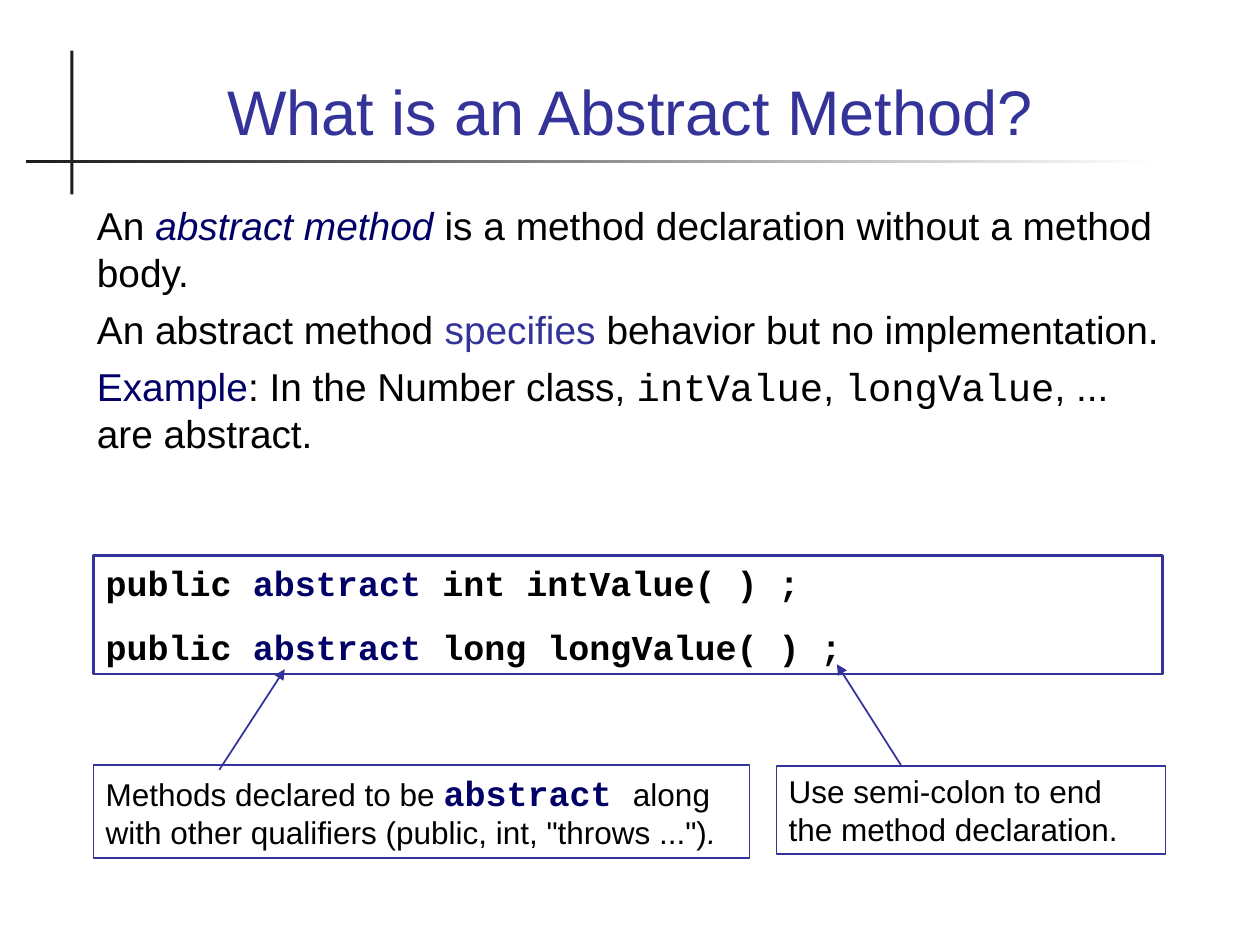
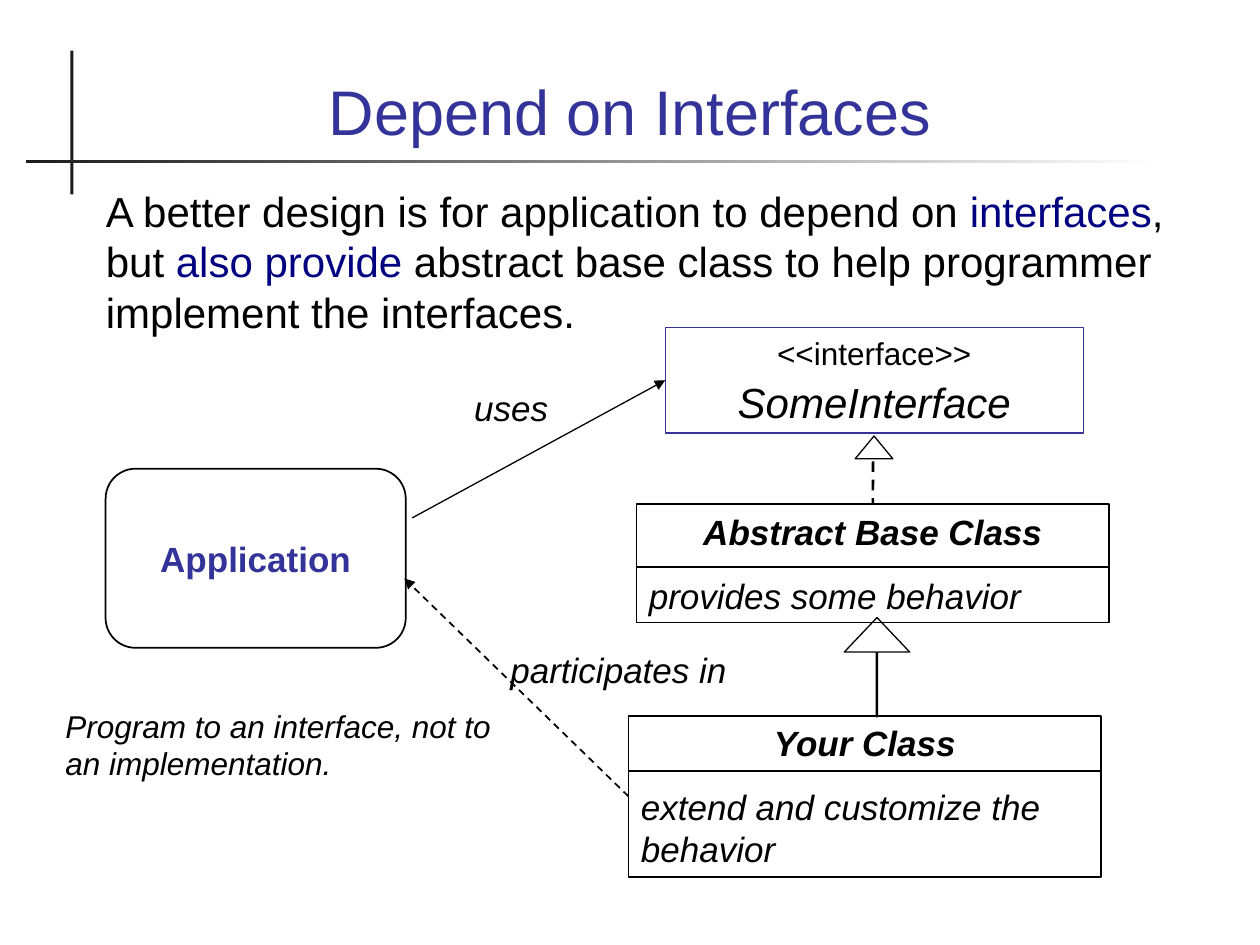
from lxml.etree import SubElement
from pptx import Presentation
from pptx.dml.color import RGBColor
from pptx.enum.dml import MSO_LINE_DASH_STYLE as Dash
from pptx.enum.shapes import MSO_CONNECTOR as Connector, MSO_SHAPE as Shape
from pptx.enum.text import MSO_ANCHOR as Anchor, MSO_AUTO_SIZE as AutoSize, PP_ALIGN as Align
from pptx.oxml.ns import qn
from pptx.util import Cm, Pt

INDIGO = "333399"
NAVY = "000066"
DARK_BLUE = "000080"
BLACK = "000000"
WHITE = "FFFFFF"
RULE = "1C1C1C"
SANS = "Arial"
MONO = "Courier New"


def rgb(value):
    return RGBColor.from_string(value)


def place(item, left, top, width, height):
    item.left, item.top = Cm(left), Cm(top)
    item.width, item.height = Cm(width), Cm(height)


def write(frame, *runs, size=20, color=BLACK, font=SANS, bold=False, italic=False,
          align=Align.LEFT, before=0, bullet=True):
    is_first = not frame.paragraphs[0].runs
    paragraph = frame.paragraphs[0] if is_first else frame.add_paragraph()
    if not bullet:
        properties = paragraph._p.get_or_add_pPr()
        properties.set("marL", "0")
        properties.set("indent", "0")
        SubElement(properties, qn("a:buNone"))
    paragraph.alignment = align
    paragraph.space_before = Pt(0 if is_first else before)
    base = dict(size=size, color=color, font=font, bold=bold, italic=italic)
    for words in runs:
        text, changes = (words, {}) if isinstance(words, str) else words
        look = {**base, **changes}
        run = paragraph.add_run()
        run.text = text
        run.font.size = Pt(look["size"])
        run.font.name = look["font"]
        run.font.bold = look["bold"]
        run.font.italic = look["italic"]
        run.font.color.rgb = rgb(look["color"])


def add_box(slide, kind, left, top, width, height, line=BLACK, weight=1.0, fill=None,
            anchor=Anchor.TOP):
    box = slide.shapes.add_shape(kind, Cm(left), Cm(top), Cm(width), Cm(height))
    box.shadow.inherit = False
    if fill:
        box.fill.solid()
        box.fill.fore_color.rgb = rgb(fill)
    else:
        box.fill.background()
    if line:
        box.line.color.rgb = rgb(line)
        box.line.width = Pt(weight)
    else:
        box.line.fill.background()
    box.text_frame.word_wrap = True
    box.text_frame.vertical_anchor = anchor
    return box


def add_label(slide, text, left, top, width, height, **look):
    label = slide.shapes.add_textbox(Cm(left), Cm(top), Cm(width), Cm(height))
    label.text_frame.word_wrap = True
    write(label.text_frame, text, italic=True, **look)


def add_line(slide, start, end, color=BLACK, weight=1.0, arrow=False, dashed=False):
    line = slide.shapes.add_connector(Connector.STRAIGHT, *map(Cm, start + end))
    line.line.color.rgb = rgb(color)
    line.line.width = Pt(weight)
    if dashed:
        line.line.dash_style = Dash.DASH
    if arrow:
        SubElement(line.line._get_or_add_ln(), qn("a:tailEnd"), type="triangle")
    SubElement(line._element.spPr, qn("a:effectLst"))
    return line


def add_class(slide, name, behavior, left, top, width, height, divider):
    box = add_box(slide, Shape.RECTANGLE, left, top, width, height)
    write(box.text_frame, name, bold=True, italic=True, align=Align.CENTER)
    write(box.text_frame, behavior, italic=True, before=12.5)
    add_line(slide, (left, divider), (left + width, divider))
    return box


def style_layout(layout, slide):
    upright = add_box(slide, Shape.RECTANGLE, 1.42, 1.02, 0.06, 2.9, line=None, fill=RULE)
    underline = add_box(slide, Shape.RECTANGLE, 0.53, 3.23, 22.83, 0.06, line=None)
    underline.fill.gradient()
    underline.fill.gradient_angle = 0
    for stop, color in zip(underline.fill.gradient_stops, (RULE, WHITE)):
        stop.color.rgb = rgb(color)
    for rule in (upright, underline):
        layout.shapes.element.append(rule.element)
    title, body = layout.placeholders[0], layout.placeholders[1]
    place(title, 1.7, 0.71, 22, 2.41)
    title.text_frame.vertical_anchor = Anchor.BOTTOM
    place(body, 1.7, 3.94, 22, 6.38)


def start_slide(slide, title):
    write(slide.shapes.title.text_frame, title, size=36, color=INDIGO, align=Align.CENTER)
    body = slide.placeholders[1]
    body.text_frame.auto_size = AutoSize.NONE
    return body


def fill_abstract_method(slide):
    navy = {"color": NAVY}
    mono = {"font": MONO}
    body = start_slide(slide, "What is an Abstract Method?").text_frame
    points = [
        ["An ", ("abstract method", {"color": NAVY, "italic": True}),
         " is a method declaration without a method body."],
        ["An abstract method ", ("specifies", {"color": INDIGO}),
         " behavior but no implementation."],
        [("Example", navy), ": In the Number class, ", ("intValue", mono), ", ",
         ("longValue", mono), ", ... are abstract."],
    ]
    for point in points:
        write(body, *point, size=22.2, before=6, bullet=False)

    code = add_box(slide, Shape.RECTANGLE, 1.88, 11.2, 21.56, 2.39, INDIGO, 1.5)
    for signature in (" int intValue( ) ;", " long longValue( ) ;"):
        write(code.text_frame, "public ", ("abstract", navy), signature,
              font=MONO, bold=True, before=12.5)

    qualifiers = add_box(slide, Shape.RECTANGLE, 1.88, 15.42, 13.23, 1.88, INDIGO, 0.75)
    write(qualifiers.text_frame, "Methods declared to be ",
          ("abstract ", {"size": 20, "font": MONO, "color": NAVY, "bold": True}),
          'along with other qualifiers (public, int, "throws ...")',
          (".", {"italic": True}), size=18)
    semicolon = add_box(slide, Shape.RECTANGLE, 15.65, 15.44, 7.85, 1.78, INDIGO, 0.75)
    write(semicolon.text_frame, "Use semi-colon to end the method declaration.", size=18)

    add_line(slide, (4.42, 15.52), (5.74, 13.49), INDIGO, arrow=True)
    add_line(slide, (18.16, 15.42), (16.87, 13.39), INDIGO, arrow=True)


def fill_interfaces(slide):
    blue = {"color": DARK_BLUE}
    body = start_slide(slide, "Depend on Interfaces")
    place(body, 1.88, 3.61, 22, 5.03)
    write(body.text_frame, "A better design is for application to depend on ",
          ("interfaces", blue), ", but ", ("also provide", blue),
          " abstract base class to help programmer implement the interfaces.",
          size=24, bullet=False)

    base_class = add_class(slide, "Abstract Base Class", "provides some behavior",
                           12.83, 10.16, 9.53, 2.39, divider=11.43)
    your_class = add_class(slide, "Your Class", "extend and customize the behavior",
                           12.67, 14.43, 9.53, 3.25, divider=15.54)
    application = add_box(slide, Shape.ROUNDED_RECTANGLE, 2.13, 9.45, 6.05, 3.61,
                          anchor=Anchor.MIDDLE)
    write(application.text_frame, "Application", color=INDIGO, bold=True, align=Align.CENTER)
    interface = add_box(slide, Shape.RECTANGLE, 13.41, 6.6, 8.43, 2.13, INDIGO, 0.75)
    write(interface.text_frame, "<<interface>>", size=18, align=Align.CENTER)
    write(interface.text_frame, "SomeInterface", size=24, italic=True, before=3,
          align=Align.CENTER)

    extends = add_box(slide, Shape.UP_ARROW, 17.02, 12.45, 1.32, 2, weight=0.75)
    extends.adjustments[0] = 0.017
    extends.adjustments[1] = 0.528
    add_box(slide, Shape.ISOSCELES_TRIANGLE, 17.24, 8.79, 0.76, 0.46, weight=0.75, fill=WHITE)
    implements = add_line(slide, (17.6, 9.3), (17.6, 10.16), weight=1.5, dashed=True)
    implements.end_connect(base_class, 0)
    uses = add_line(slide, (8.31, 10.44), (13.41, 7.6), weight=0.75, arrow=True)
    uses.end_connect(interface, 1)
    participates = add_line(slide, (12.67, 16.05), (8.15, 11.66), arrow=True, dashed=True)
    participates.begin_connect(your_class, 1)

    add_label(slide, "uses", 8.64, 7.67, 3.33, 1.12, align=Align.CENTER)
    add_label(slide, "participates in", 8.89, 12.95, 7.16, 1.12, align=Align.CENTER)
    add_label(slide, "Program to an interface, not to an implementation.",
              1.07, 14.12, 9.35, 1.78, size=18)


def main():
    deck = Presentation()
    deck.slide_width, deck.slide_height = Cm(25.4), Cm(19.05)
    layout = deck.slide_layouts[1]
    abstract_method = deck.slides.add_slide(layout)
    style_layout(layout, abstract_method)
    fill_abstract_method(abstract_method)
    fill_interfaces(deck.slides.add_slide(layout))
    deck.save("out.pptx")


if __name__ == "__main__":
    main()
